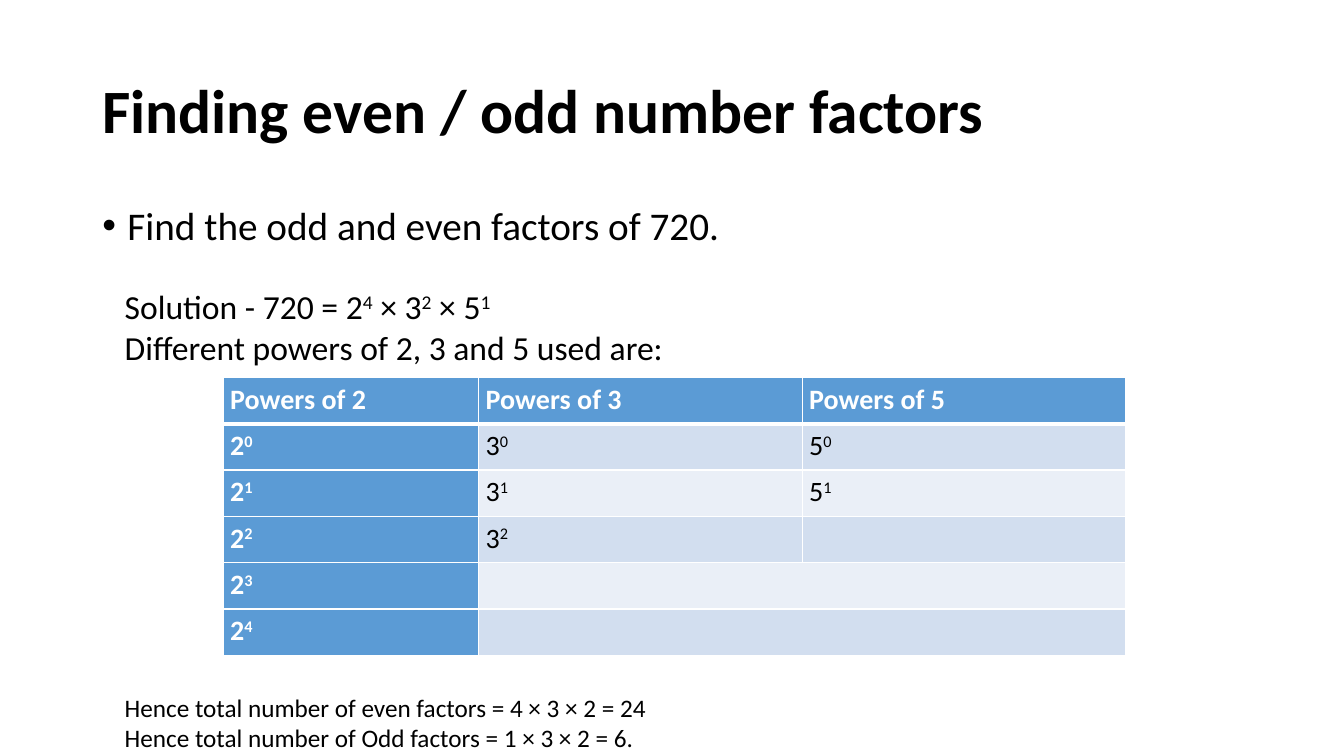
from dataclasses import dataclass

from lxml import etree
from pptx import Presentation
from pptx.dml.color import RGBColor
from pptx.enum.text import MSO_ANCHOR
from pptx.oxml.ns import qn
from pptx.util import Pt

TOP, MIDDLE = MSO_ANCHOR.TOP, MSO_ANCHOR.MIDDLE
FONT = "Calibri"
BLACK, WHITE = "000000", "FFFFFF"
BLUE, BAND_DARK, BAND_LIGHT = "5B9BD5", "D2DEEF", "EAEFF7"


@dataclass
class TextBlock:
    """A text box; in its lines, ^ raises the next character."""
    left: float
    top: float
    width: float
    height: float
    lines: list[str]
    size: float
    bold: bool = False
    anchor: int = TOP
    spacing: float = 1.0
    before: float = 0
    bullet: bool = False


TEXTS = [
    TextBlock(66, 28.75, 828, 104.4, ["Finding even / odd number factors"], 44,
              bold=True, anchor=MIDDLE, spacing=0.9),
    TextBlock(66, 143.75, 828, 67.7, ["Find the odd and even factors of 720."], 28,
              spacing=0.9, before=10, bullet=True),
    TextBlock(82, 201, 735, 87, ["Solution - 720 = 2^4 × 3^2 × 5^1",
                                 "Different powers of 2, 3 and 5 used are:"], 24),
    TextBlock(82, 491, 722, 73, ["Hence total number of even factors = 4 × 3 × 2 = 24",
                                 "Hence total number of Odd factors = 1 × 3 × 2 = 6."], 18),
]

MAX_POWERS = {2: 4, 3: 2, 5: 1}
TABLE_LEFT, TABLE_TOP = 159.4, 269.6
COLUMN_WIDTHS = [182.6, 231, 231]
ROW_HEIGHT = 33.1
MERGED_ROWS = [4, 5]


def rgb(color: str) -> RGBColor:
    """Turn a hex string into a colour."""
    return RGBColor.from_string(color)


def set_all(obj, values: dict) -> None:
    """Set every attribute named in values."""
    for name, value in values.items():
        setattr(obj, name, value)


def write(p, text: str, size: float, color: str, bold: bool) -> None:
    """Fill a paragraph, raising each character that follows ^."""
    first, *rest = text.split("^")
    pieces = [(first, False)]
    for part in rest:
        pieces += [(part[0], True), (part[1:], False)]
    for piece, raised in pieces:
        if not piece:
            continue
        r = p.add_run()
        r.text = piece
        set_all(r.font, {"name": FONT, "size": Pt(size), "bold": bold})
        r.font.color.rgb = rgb(color)
        if raised:
            r._r.get_or_add_rPr().set("baseline", "30000")


def add_bullet(p, indent: float) -> None:
    """Give a paragraph a round bullet with a hanging indent."""
    pPr = p._p.get_or_add_pPr()
    pPr.set("marL", str(Pt(indent)))
    pPr.set("indent", str(-Pt(indent)))
    etree.SubElement(pPr, qn("a:buFont")).set("typeface", "Arial")
    etree.SubElement(pPr, qn("a:buChar")).set("char", "•")


def add_text(slide, block: TextBlock) -> None:
    """Draw one text block."""
    box = [Pt(v) for v in (block.left, block.top, block.width, block.height)]
    tf = slide.shapes.add_textbox(*box).text_frame
    set_all(tf, {"word_wrap": True, "vertical_anchor": block.anchor})
    for i, line in enumerate(block.lines):
        p = tf.add_paragraph() if i else tf.paragraphs[0]
        set_all(p, {"line_spacing": block.spacing, "space_before": Pt(block.before)})
        if block.bullet:
            add_bullet(p, 18)
        write(p, line, block.size, BLACK, block.bold)


def add_borders(cell, widths: dict[str, float]) -> None:
    """Draw white cell borders; widths is keyed by side letter."""
    tcPr = cell._tc.get_or_add_tcPr()
    for side, width in widths.items():
        ln = etree.SubElement(tcPr, qn(f"a:ln{side}"), w=str(Pt(width)))
        fill = etree.SubElement(ln, qn("a:solidFill"))
        etree.SubElement(fill, qn("a:srgbClr"), val=WHITE)


def cell_text(row: int, base: int) -> str:
    """Give the heading or the power of base that belongs in a row."""
    if row == 0:
        return f"Powers of {base}"
    return f"{base}^{row - 1}" if row - 1 <= MAX_POWERS[base] else ""


def add_powers_table(slide) -> None:
    """Draw the table of prime powers."""
    row_count = max(MAX_POWERS.values()) + 2
    table = slide.shapes.add_table(
        row_count, len(MAX_POWERS), Pt(TABLE_LEFT), Pt(TABLE_TOP),
        Pt(sum(COLUMN_WIDTHS)), Pt(ROW_HEIGHT * row_count)).table
    for column, width in zip(table.columns, COLUMN_WIDTHS):
        column.width = Pt(width)
    for i, row in enumerate(table.rows):
        row.height = Pt(ROW_HEIGHT)
        for j, base in enumerate(MAX_POWERS):
            cell = table.cell(i, j)
            heading = i == 0 or j == 0
            band = BAND_DARK if i % 2 else BAND_LIGHT
            set_all(cell, {"margin_left": Pt(5), "margin_right": Pt(5),
                           "margin_top": 0, "margin_bottom": 0})
            add_borders(cell, {"L": 1, "R": 1, "T": 3 if i == 1 else 1,
                               "B": 3 if i == 0 else 1})
            cell.fill.solid()
            cell.fill.fore_color.rgb = rgb(BLUE if heading else band)
            p = cell.text_frame.paragraphs[0]
            p.line_spacing = 1.15
            write(p, cell_text(i, base), 20, WHITE if heading else BLACK, heading)
    for i in MERGED_ROWS:
        table.cell(i, 1).merge(table.cell(i, 2))


prs = Presentation()
set_all(prs, {"slide_width": Pt(960), "slide_height": Pt(540)})
s = prs.slides.add_slide(prs.slide_layouts[6])
*upper_texts, conclusion = TEXTS
for text_block in upper_texts:
    add_text(s, text_block)
add_powers_table(s)
add_text(s, conclusion)
prs.save("out.pptx")
